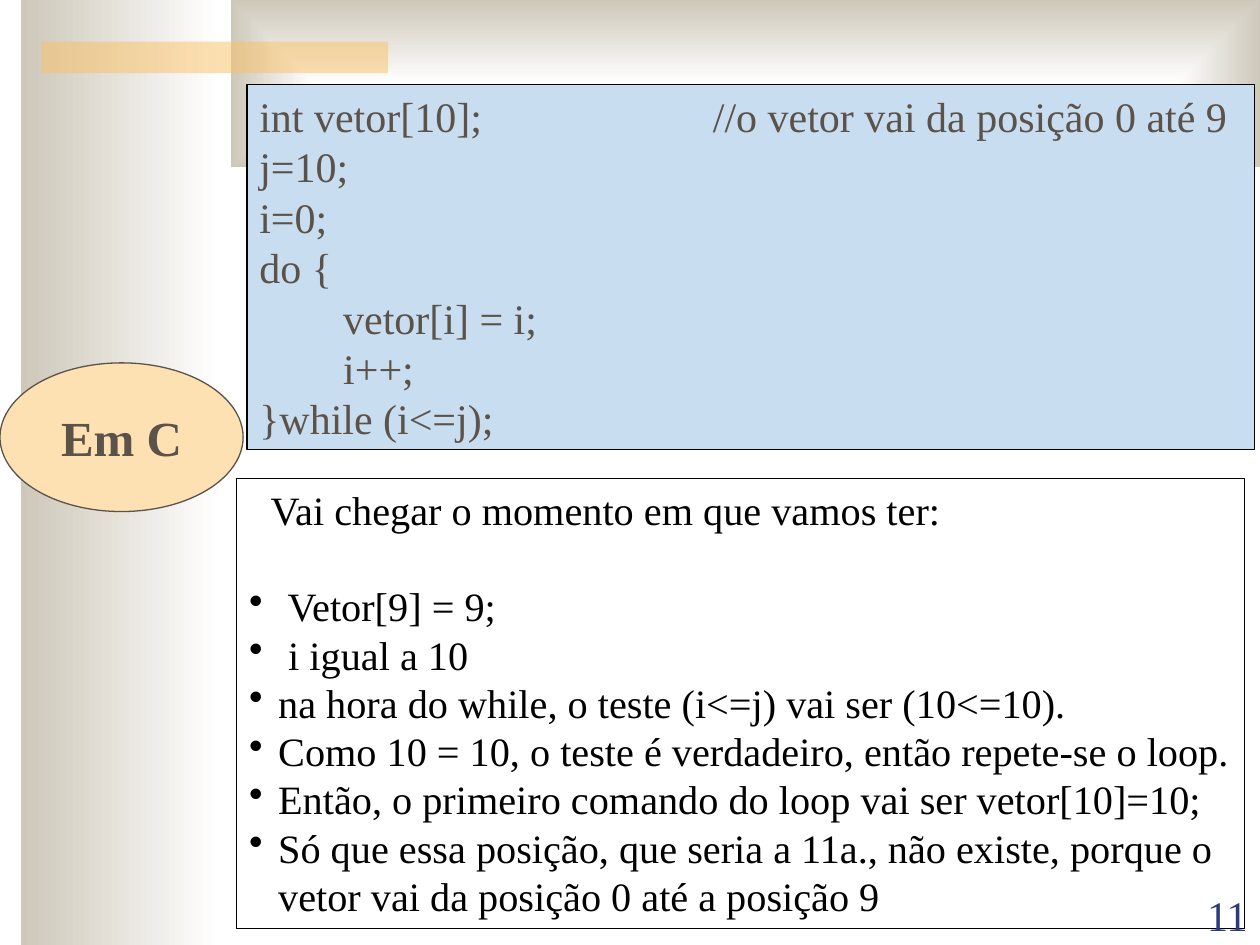
from lxml import etree
from pptx import Presentation
from pptx.dml.color import RGBColor
from pptx.enum.shapes import MSO_SHAPE
from pptx.enum.text import MSO_ANCHOR, MSO_AUTO_SIZE, PP_ALIGN
from pptx.oxml import parse_xml
from pptx.oxml.ns import nsdecls, qn
from pptx.util import Inches, Pt

RECTANGLE, OVAL = MSO_SHAPE.RECTANGLE, MSO_SHAPE.OVAL
TOP, MIDDLE, BOTTOM = MSO_ANCHOR.TOP, MSO_ANCHOR.MIDDLE, MSO_ANCHOR.BOTTOM
LEFT, CENTER, RIGHT = PP_ALIGN.LEFT, PP_ALIGN.CENTER, PP_ALIGN.RIGHT
GROW = MSO_AUTO_SIZE.SHAPE_TO_FIT_TEXT

FONT = "Times New Roman"
BROWN, BLACK, WHITE, STONE = "5B5249", "000000", "FFFFFF", "CEC8BA"
BULLET_INDENT = 0.23
COMMENT_TAB = 3.6

CODE = [
    "int vetor[10];\t//o vetor vai da posição 0 até 9",
    "j=10;",
    "i=0;",
    "do {",
    "        vetor[i] = i;",
    "        i++;",
    "}while (i<=j);",
]
CONSEQUENCES = [
    " Vetor[9] = 9;",
    " i igual a 10",
    "na hora do while, o teste (i<=j) vai ser (10<=10).",
    "Como 10 = 10, o teste é verdadeiro, então repete-se o loop.",
    "Então, o primeiro comando do loop vai ser vetor[10]=10;",
    "Só que essa posição, que seria a 11a., não existe, porque o "
    "vetor vai da posição 0 até a posição 9",
]


def color(hex_value):
    """Turn a hex string into a colour."""
    return RGBColor.from_string(hex_value)


def add_panel(slide, kind, box, fill=None, line=None, alpha=None):
    """Add a flat shape with an optional fill, outline and opacity."""
    panel = slide.shapes.add_shape(kind, *map(Inches, box))
    panel.shadow.inherit = False
    if fill:
        panel.fill.solid()
        panel.fill.fore_color.rgb = color(fill)
    else:
        panel.fill.background()
    if line:
        panel.line.color.rgb = color(line)
        panel.line.width = Pt(0.75)
    else:
        panel.line.fill.background()
    if alpha:
        rgb = panel.fill._xPr.find(".//" + qn("a:srgbClr"))
        etree.SubElement(rgb, qn("a:alpha")).set("val", str(alpha * 1000))
    return panel


def add_gradient_band(slide, box, from_center=False):
    """Add a white to stone band, shaded sideways or from its centre."""
    band = add_panel(slide, RECTANGLE, box)
    band.fill.gradient()
    band.fill.gradient_angle = 180
    for stop, hex_value in zip(band.fill.gradient_stops, (WHITE, STONE)):
        stop.color.rgb = color(hex_value)
    if from_center:
        linear = band._element.spPr.find(".//" + qn("a:lin"))
        linear.getparent().replace(linear, parse_xml(
            f'<a:path {nsdecls("a")} path="rect"><a:fillToRect '
            'l="50000" t="50000" r="50000" b="50000"/></a:path>'))


def format_frame(holder, anchor=TOP, wrap=True, grow=False):
    """Set how a shape lays out its text and return the text frame."""
    frame = holder.text_frame
    frame.word_wrap = wrap
    frame.vertical_anchor = anchor
    if grow:
        frame.auto_size = GROW
    return frame


def write(frame, text, size=24, hex_value=BROWN, bold=False, align=LEFT,
          bullet=False, indent=0, tab=None, before=0):
    """Write one formatted paragraph into a text frame."""
    first = frame.paragraphs[0]
    paragraph = frame.add_paragraph() if first.runs else first
    properties = paragraph._p.get_or_add_pPr()
    if bullet:
        properties.set("marL", str(Inches(BULLET_INDENT)))
        properties.set("indent", str(-Inches(BULLET_INDENT)))
        marker_color = etree.SubElement(properties, qn("a:buClr"))
        etree.SubElement(marker_color, qn("a:srgbClr")).set("val", hex_value)
        etree.SubElement(properties, qn("a:buChar")).set("char", "•")
    elif indent:
        properties.set("marL", str(Inches(indent)))
    if tab:
        stops = etree.SubElement(properties, qn("a:tabLst"))
        etree.SubElement(stops, qn("a:tab"), pos=str(Inches(tab)), algn="l")
    paragraph.alignment = align
    if before:
        paragraph.space_before = Pt(before)
    run = paragraph.add_run()
    run.text = text
    run.font.name = FONT
    run.font.size = Pt(size)
    run.font.bold = bold
    run.font.color.rgb = color(hex_value)


def add_background(slide):
    """Draw the shaded bands and the accent bar."""
    add_gradient_band(slide, (0.17, 0, 1.58, 7.5))
    add_gradient_band(slide, (1.83, 0, 8.17, 1.33), from_center=True)
    add_panel(slide, RECTANGLE, (0.33, 0.33, 2.75, 0.25), "FAC164", alpha=50)


def add_code(slide):
    """Add the code listing."""
    listing = add_panel(slide, RECTANGLE, (1.96, 0.67, 8, 2.9), "C9DDF1", BLACK)
    frame = format_frame(listing, grow=True)
    for code_line in CODE:
        write(frame, code_line, tab=COMMENT_TAB if "\t" in code_line else None)


def add_explanation(slide):
    """Add the explanation of what the loop does."""
    explanation = add_panel(slide, RECTANGLE, (1.88, 3.8, 8, 3.57), line=BLACK)
    frame = format_frame(explanation, grow=True)
    write(frame, "Vai chegar o momento em que vamos ter:", size=23,
          hex_value=BLACK, indent=0.17)
    for index, consequence in enumerate(CONSEQUENCES):
        write(frame, consequence, size=23, hex_value=BLACK, bullet=True,
              before=0 if index else 27.6)


def add_language_label(slide):
    """Add the oval that names the language."""
    label = add_panel(slide, OVAL, (0, 2.88, 1.93, 1.18), "FDE1B3", BROWN)
    frame = format_frame(label, anchor=MIDDLE, wrap=False)
    write(frame, "Em C", size=28, bold=True, align=CENTER)


def add_page_number(slide):
    """Add the page number."""
    number = slide.shapes.add_textbox(*map(Inches, (9, 7.01, 1, 0.5)))
    frame = format_frame(number, anchor=BOTTOM)
    write(frame, "11", hex_value="2A3D7A", align=RIGHT)


def main():
    """Build the slide and save it."""
    deck = Presentation()
    deck.slide_width, deck.slide_height = Inches(10), Inches(7.5)
    slide = deck.slides.add_slide(deck.slide_layouts[6])
    add_background(slide)
    add_code(slide)
    add_explanation(slide)
    add_language_label(slide)
    add_page_number(slide)
    deck.save("out.pptx")


if __name__ == "__main__":
    main()
